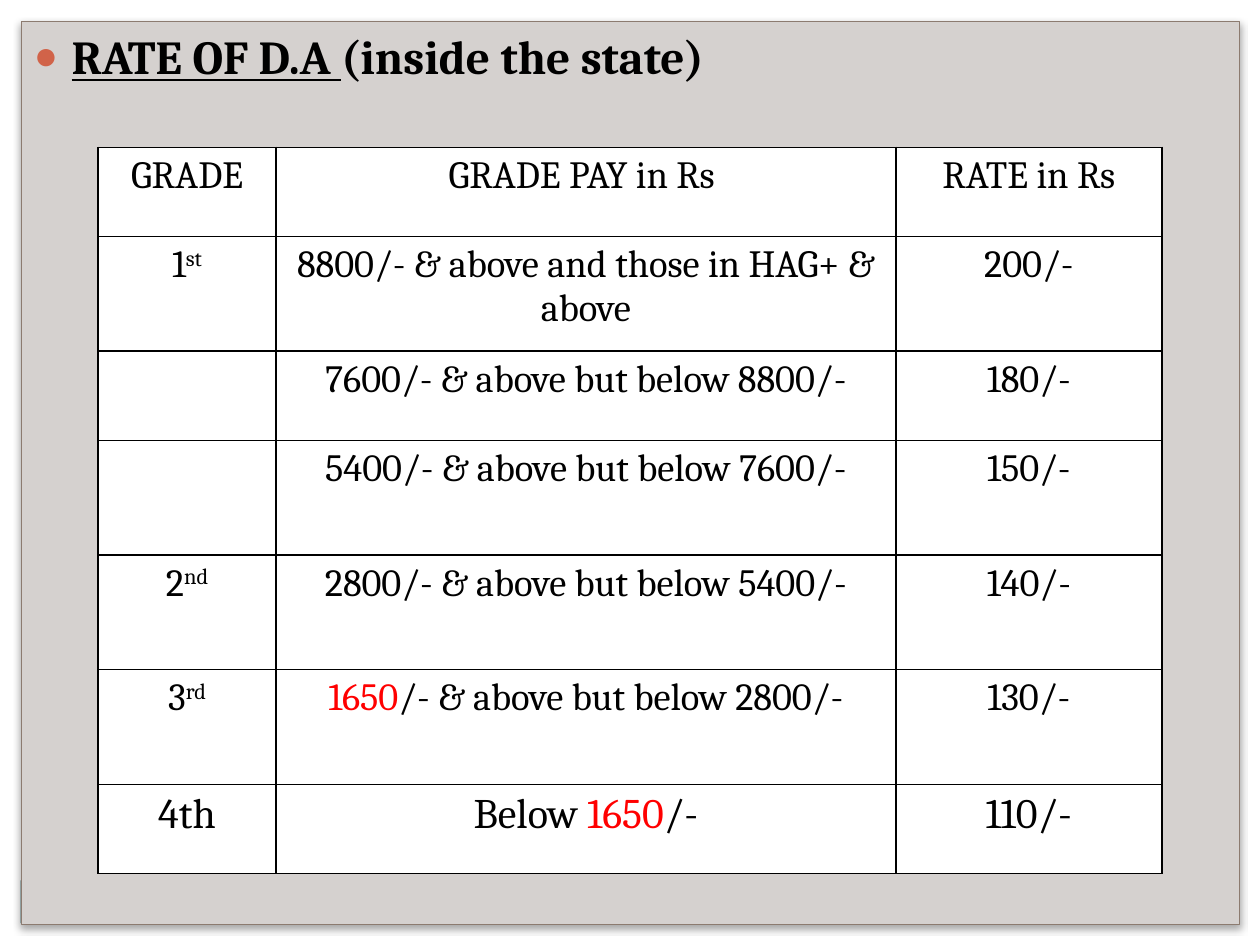
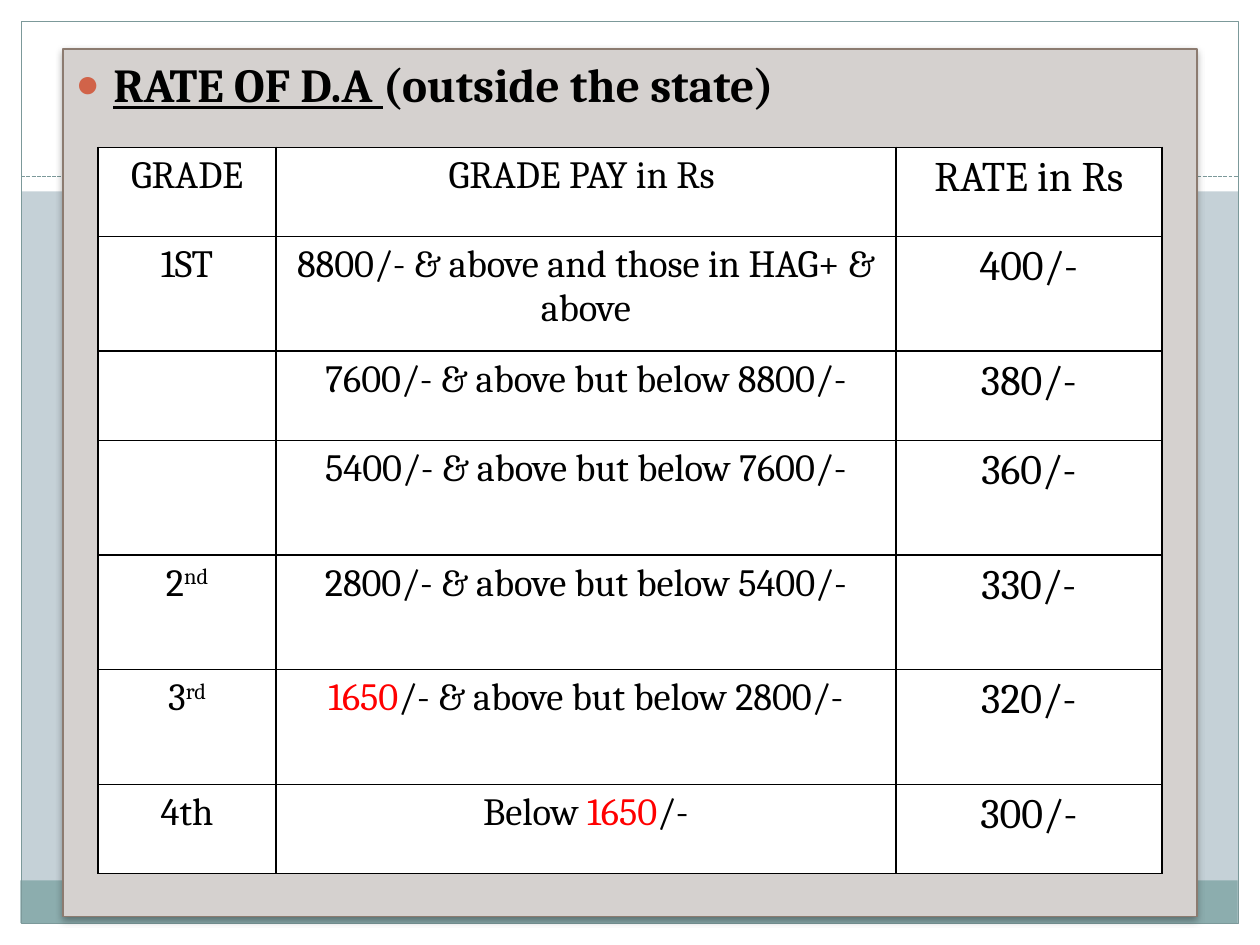
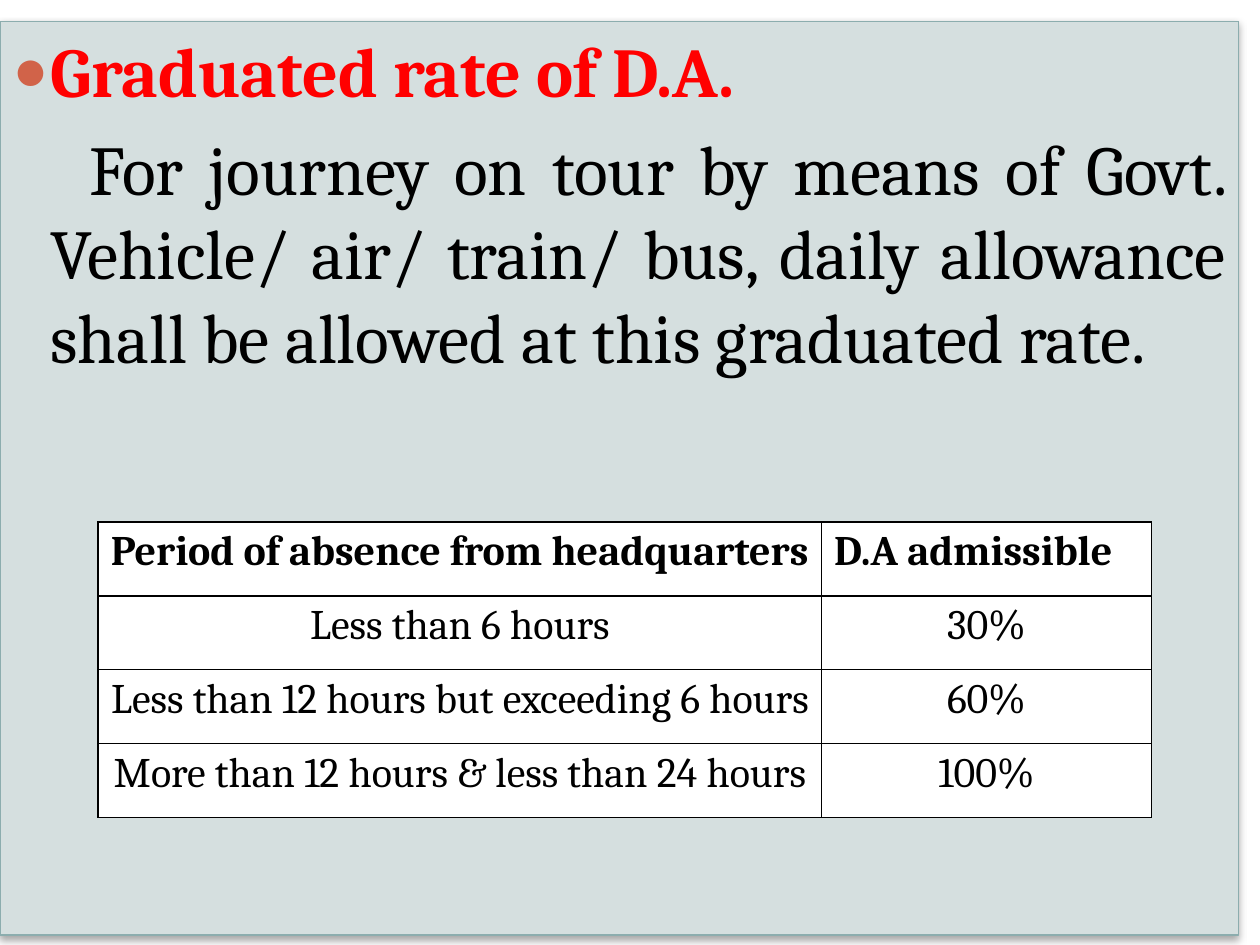
"""Build three slides on daily allowance rates."""
from lxml import etree
from pptx import Presentation
from pptx.dml.color import RGBColor
from pptx.enum.dml import MSO_LINE
from pptx.enum.shapes import MSO_CONNECTOR, MSO_SHAPE
from pptx.enum.text import MSO_ANCHOR, MSO_AUTO_SIZE, PP_ALIGN
from pptx.oxml import parse_xml
from pptx.oxml.ns import nsdecls, qn
from pptx.util import Cm, Pt

RECTANGLE = MSO_SHAPE.RECTANGLE
STRAIGHT = MSO_CONNECTOR.STRAIGHT
DASHED = MSO_LINE.SQUARE_DOT
TOP = MSO_ANCHOR.TOP
NO_FIT = MSO_AUTO_SIZE.NONE
LEFT, CENTER, JUSTIFY = PP_ALIGN.LEFT, PP_ALIGN.CENTER, PP_ALIGN.JUSTIFY

BLACK = RGBColor(0x00, 0x00, 0x00)
WHITE = RGBColor(0xFF, 0xFF, 0xFF)
RED = RGBColor(0xFF, 0x00, 0x00)
SKY = RGBColor(0xC5, 0xD1, 0xD7)
TEAL = RGBColor(0x8C, 0xAD, 0xAE)
SLATE = RGBColor(0x7C, 0x99, 0x9A)
STONE = RGBColor(0xD5, 0xD1, 0xCF)
BROWN = RGBColor(0x8C, 0x7B, 0x70)
MIST = RGBColor(0xD5, 0xDF, 0xDF)
RUST = RGBColor(0xD1, 0x63, 0x49)

FONT = "Cambria"
FRAME_WIDTH = Pt(0.75)
HANGING = Cm(0.76)
FIRST_LINE = Cm(0.79)
SUPERSCRIPT = "30000"

RATE_COLUMNS = (3.58, 12.5, 5.36)
RATE_ROWS = (1.8, 2.31, 1.8, 2.31, 2.31, 2.31, 1.8)
HEADINGS = ("GRADE", "GRADE PAY in Rs ", "RATE in Rs")
GRADE_PAY = (
    "8800/- & above and those in HAG+ & above",
    "7600/- & above but below 8800/-",
    "5400/- & above but below 7600/-",
    "2800/- & above but below 5400/-",
    [("1650", {"color": RED}), ("/- & above but below 2800/-", {})],
    [("Below ", {}), ("1650", {"color": RED}), ("/-", {})],
)
LOWER_GRADES = (
    "",
    "",
    [("2", {}), ("nd", {"baseline": SUPERSCRIPT})],
    [("3", {}), ("rd", {"baseline": SUPERSCRIPT})],
    "4th",
)
FIRST_INSIDE = [("1", {}), ("st", {"baseline": SUPERSCRIPT})]
ABSENCE = (
    ("Period of absence from headquarters", "D.A admissible"),
    ("Less than 6 hours", "30%"),
    ("Less than 12 hours but exceeding 6 hours", "60%"),
    ("More than 12 hours & less than 24 hours", "100%"),
)


class AllowanceDeck:
    """Hold the shared style and the current slide."""

    def __init__(self):
        self.deck = Presentation()
        self.deck.slide_width, self.deck.slide_height = Cm(25.4), Cm(19.05)
        self.page = None
        self.body = None

    def new_page(self):
        self.page = self.deck.slides.add_slide(self.deck.slide_layouts[1])
        title, self.body = self.page.placeholders
        title.element.getparent().remove(title.element)

    def band(self, place, fill=None, line=None):
        box = self.page.shapes.add_shape(RECTANGLE, *map(Cm, place))
        box.shadow.inherit = False
        self.paint(box, fill, line)
        return box

    def paint(self, box, fill, line):
        if fill is None:
            box.fill.background()
        else:
            box.fill.solid()
            box.fill.fore_color.rgb = fill
        if line is None:
            box.line.fill.background()
        else:
            box.line.color.rgb = line
            box.line.width = FRAME_WIDTH

    def dashed_rule(self, left, right, top):
        rule = self.page.shapes.add_connector(STRAIGHT, Cm(left), Cm(top), Cm(right), Cm(top))
        rule.line.color.rgb = SLATE
        rule.line.width = FRAME_WIDTH
        rule.line.dash_style = DASHED
        etree.SubElement(rule._element.spPr, qn("a:effectLst"))
        return rule

    def backdrop(self):
        """Draw the shared frame and move it to the slide master."""
        master = self.deck.slide_master
        master.background.fill.solid()
        master.background.fill.fore_color.rgb = SKY
        parts = [
            self.band((0, 18.62, 25.4, 0.43), WHITE),
            self.band((0, 0, 25.4, 3.86), WHITE),
            self.band((0, 0, 0.43, 19.05), WHITE),
            self.band((24.97, 0, 0.43, 19.05), WHITE),
            self.band((0.41, 17.75, 24.54, 0.86), TEAL),
            self.band((0.43, 0.43, 24.54, 18.19), line=SLATE),
            self.dashed_rule(0.43, 24.97, 3.56),
        ]
        first = master.shapes[0].element
        for part in parts:
            first.addprevious(part.element)

    def add_spans(self, para, text, **base):
        """Add a string, or a list of text and format pairs, as spans."""
        spans = [(text, {})] if isinstance(text, str) else text
        for words, changes in spans:
            span = para.add_run()
            span.text = words
            values = {"name": FONT, "color": BLACK, "bold": False, **base, **changes}
            span.font.color.rgb = values.pop("color")
            baseline = values.pop("baseline", None)
            if baseline:
                span.font._element.set("baseline", baseline)
            for name, value in values.items():
                setattr(span.font, name, value)

    def panel(self, place, fill, line, heading, size, color=BLACK, detail=None):
        box = self.body
        box.left, box.top, box.width, box.height = map(Cm, place)
        self.paint(box, fill, line)
        box.element.spPr.append(parse_xml(
            f'<a:effectLst {nsdecls("a")}><a:outerShdw blurRad="{Pt(4)}" dist="{Pt(2)}" '
            'dir="5400000" algn="ctr" rotWithShape="0"><a:srgbClr val="000000">'
            '<a:alpha val="35000"/></a:srgbClr></a:outerShdw></a:effectLst>'))
        frame = box.text_frame
        for name, value in {"word_wrap": True, "auto_size": NO_FIT, "vertical_anchor": TOP}.items():
            setattr(frame, name, value)
        para = frame.paragraphs[0]
        self.indent(para, -HANGING, size, [
            f'<a:buClr {nsdecls("a")}><a:srgbClr val="{RUST}"/></a:buClr>',
            f'<a:buSzPct {nsdecls("a")} val="85000"/>',
            f'<a:buChar {nsdecls("a")} char="●"/>'])
        self.add_spans(para, heading, size=Pt(size), color=color, bold=True)
        if detail:
            para = frame.add_paragraph()
            para.alignment = JUSTIFY
            self.indent(para, FIRST_LINE, size, [f'<a:buNone {nsdecls("a")}/>'])
            self.add_spans(para, detail, size=Pt(size))

    def indent(self, para, first_line, size, bullet):
        para.space_before = Pt(size / 5)
        properties = para._p.get_or_add_pPr()
        properties.set("marL", str(int(HANGING)))
        properties.set("indent", str(int(first_line)))
        for part in bullet:
            properties.append(parse_xml(part))

    def table(self, top, columns, rows, contents, style):
        """Add a bordered table; style gives each cell's alignment and format."""
        frame = self.page.shapes.add_table(
            len(rows), len(columns), Cm(1.98), Cm(top), Cm(sum(columns)), Cm(sum(rows)))
        grid = frame.table
        grid.first_row = grid.horz_banding = False
        for column, width in zip(grid.columns, columns):
            column.width = Cm(width)
        for row, height in zip(grid.rows, rows):
            row.height = Cm(height)
        for i, texts in enumerate(contents):
            for j, text in enumerate(texts):
                cell = grid.cell(i, j)
                cell.fill.solid()
                cell.fill.fore_color.rgb = WHITE
                self.borders(cell)
                if text:
                    para = cell.text_frame.paragraphs[0]
                    para.alignment, values = style(i, j)
                    self.add_spans(para, text, **values)

    def borders(self, cell):
        properties = cell._tc.get_or_add_tcPr()
        for position, side in enumerate(("lnL", "lnR", "lnT", "lnB")):
            properties.insert(position, parse_xml(
                f'<a:{side} {nsdecls("a")} w="{Pt(1)}"><a:solidFill>'
                f'<a:srgbClr val="{BLACK}"/></a:solidFill></a:{side}>'))

    def rate_page(self, place, region, first_grade, rates, is_large):
        self.panel(place, STONE, BROWN,
                   [("RATE OF D.A ", {"underline": True}), (region, {})], 27)
        grades = (first_grade, *LOWER_GRADES)
        contents = [HEADINGS, *zip(grades, GRADE_PAY, (f"{rate}/-" for rate in rates))]
        self.table(2.97, RATE_COLUMNS, RATE_ROWS, contents,
                   lambda i, j: (CENTER, {"size": Pt(24 if is_large(i, j) else 22)}))


def absence_style(i, j):
    """Return a bold left heading for the first row and centred text below."""
    return LEFT if i == 0 else CENTER, {"size": Pt(24), "bold": i == 0}


def main():
    """Build and save the deck."""
    show = AllowanceDeck()

    show.new_page()
    show.backdrop()
    show.rate_page((0.43, 0.43, 24.56, 18.21), "(inside the state)", FIRST_INSIDE,
                   (200, 180, 150, 140, 130, 110), lambda i, j: i == len(GRADE_PAY))

    show.new_page()
    show.rate_page((1.27, 0.99, 22.86, 17.48), "(outside the state)", "1ST",
                   (400, 380, 360, 330, 320, 300), lambda i, j: j == 2)

    show.new_page()
    show.panel((0, 0.43, 24.97, 18.42), MIST, TEAL, "Graduated rate of D.A.", 40, RED,
               "For journey on tour by means of Govt. Vehicle/ air/ train/ bus, "
               "daily allowance shall be allowed at this graduated rate.")
    show.table(10.52, (14.58, 6.65), (1.49,) * len(ABSENCE), ABSENCE, absence_style)

    show.deck.save("out.pptx")


if __name__ == "__main__":
    main()
